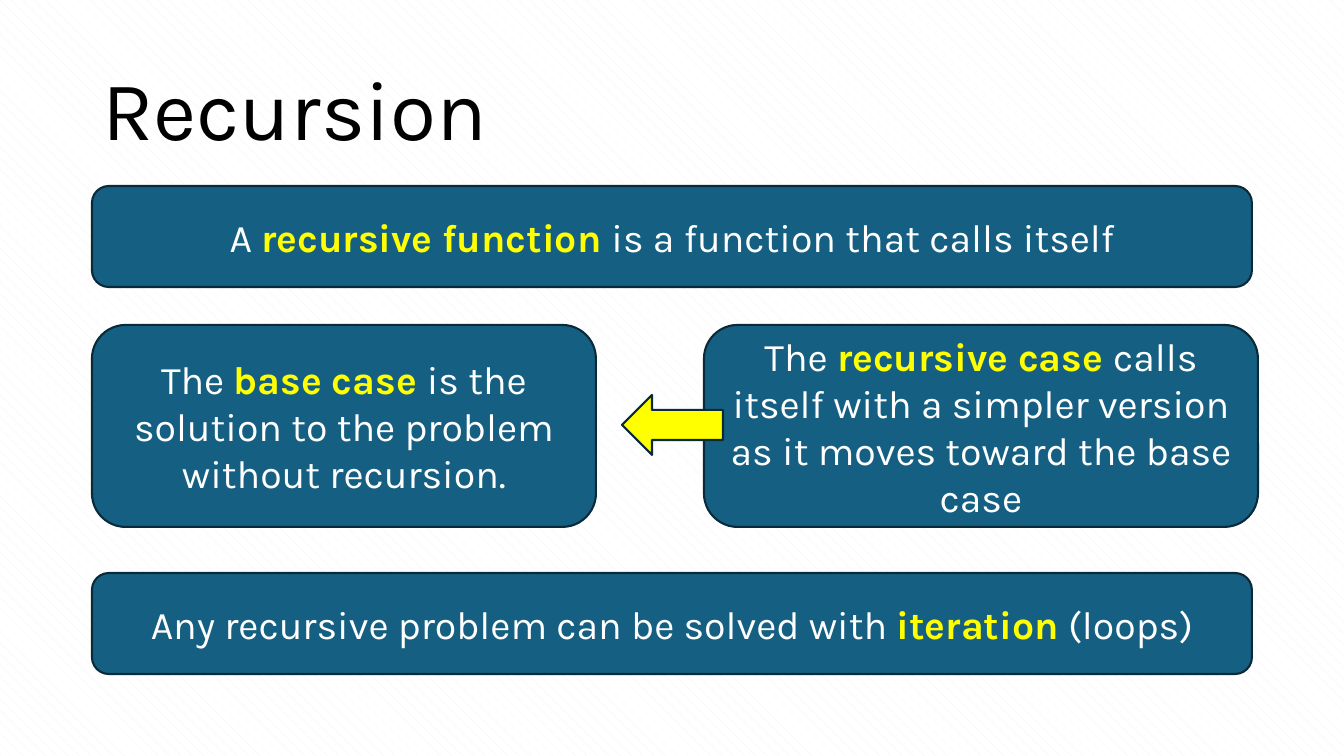
import pptx
import pptx.util
import pptx.dml.color
import pptx.enum.dml
import pptx.enum.shapes
import pptx.enum.text

TITLE = "Recursion"
CARDS = [
    ((92, 186, 1160, 101),
     ["A ", "recursive function ", "is a function that calls itself"]),
    ((92, 573, 1160, 101),
     ["Any recursive problem can be solved with ", "iteration", " (loops)"]),
    ((92, 325, 504, 202),
     ["The ", "base case ", "is the solution to the problem without recursion."]),
    ((704, 325, 554, 202),
     ["The ", "recursive case ",
      "calls itself with a simpler version as it moves toward the base case"]),
]
ARROW = (622, 395, 101, 60)
HEAD = (92, 40, 1160, 146)
COLORS = {"card": "156082", "edge": "092A39", "key": "FFFF00", "text": "FFFFFF",
          "title": "000000", "paper": "FFFFFF", "grain": "F2F2F2"}
PX = 914400 / 100.8
KIND = pptx.enum.shapes.MSO_SHAPE
ALIGN = pptx.enum.text.PP_ALIGN
MIDDLE = pptx.enum.text.MSO_ANCHOR.MIDDLE
PLAIN = {"name": "Karla", "size": pptx.util.Pt(28), "bold": False}
KEY = {**PLAIN, "bold": True}
LARGE = {**PLAIN, "size": pptx.util.Pt(60)}
FRAME = {"word_wrap": True, "vertical_anchor": MIDDLE,
         "auto_size": pptx.enum.text.MSO_AUTO_SIZE.NONE}


def scale(box):
    return [round(n * PX) for n in box]


def tint(name):
    return pptx.dml.color.RGBColor.from_string(COLORS[name])


def apply(item, form):
    for name, value in form.items():
        setattr(item, name, value)


def write(para, text, form, color):
    run = para.add_run()
    run.text = text
    apply(run.font, form)
    run.font.color.rgb = tint(color)


def draw(slide, kind, box, fill):
    shape = slide.shapes.add_shape(kind, *scale(box))
    shape.shadow.inherit = False
    shape.fill.solid()
    shape.fill.fore_color.rgb = tint(fill)
    shape.line.color.rgb = tint("edge")
    shape.line.width = pptx.util.Pt(1.5)
    return shape


def main():
    deck = pptx.Presentation()
    deck.slide_width, deck.slide_height = scale((1344, 756))
    slide = deck.slides.add_slide(deck.slide_layouts[5])
    back = slide.background.fill
    back.patterned()
    back.pattern = pptx.enum.dml.MSO_PATTERN.SHINGLE
    back.fore_color.rgb = tint("grain")
    back.back_color.rgb = tint("paper")

    title = slide.shapes.title
    apply(title, dict(zip(("left", "top", "width", "height"), scale(HEAD))))
    apply(title.text_frame, FRAME)
    para = title.text_frame.paragraphs[0]
    apply(para, {"alignment": ALIGN.LEFT, "line_spacing": 0.9})
    write(para, TITLE, LARGE, "title")

    for box, parts in CARDS:
        card = draw(slide, KIND.ROUNDED_RECTANGLE, box, "card")
        apply(card.text_frame, FRAME)
        para = card.text_frame.paragraphs[0]
        para.alignment = ALIGN.CENTER
        forms = ((PLAIN, "text"), (KEY, "key"), (PLAIN, "text"))
        for text, (form, color) in zip(parts, forms):
            write(para, text, form, color)

    draw(slide, KIND.LEFT_ARROW, ARROW, "key")
    deck.save("out.pptx")


if __name__ == "__main__":
    main()
